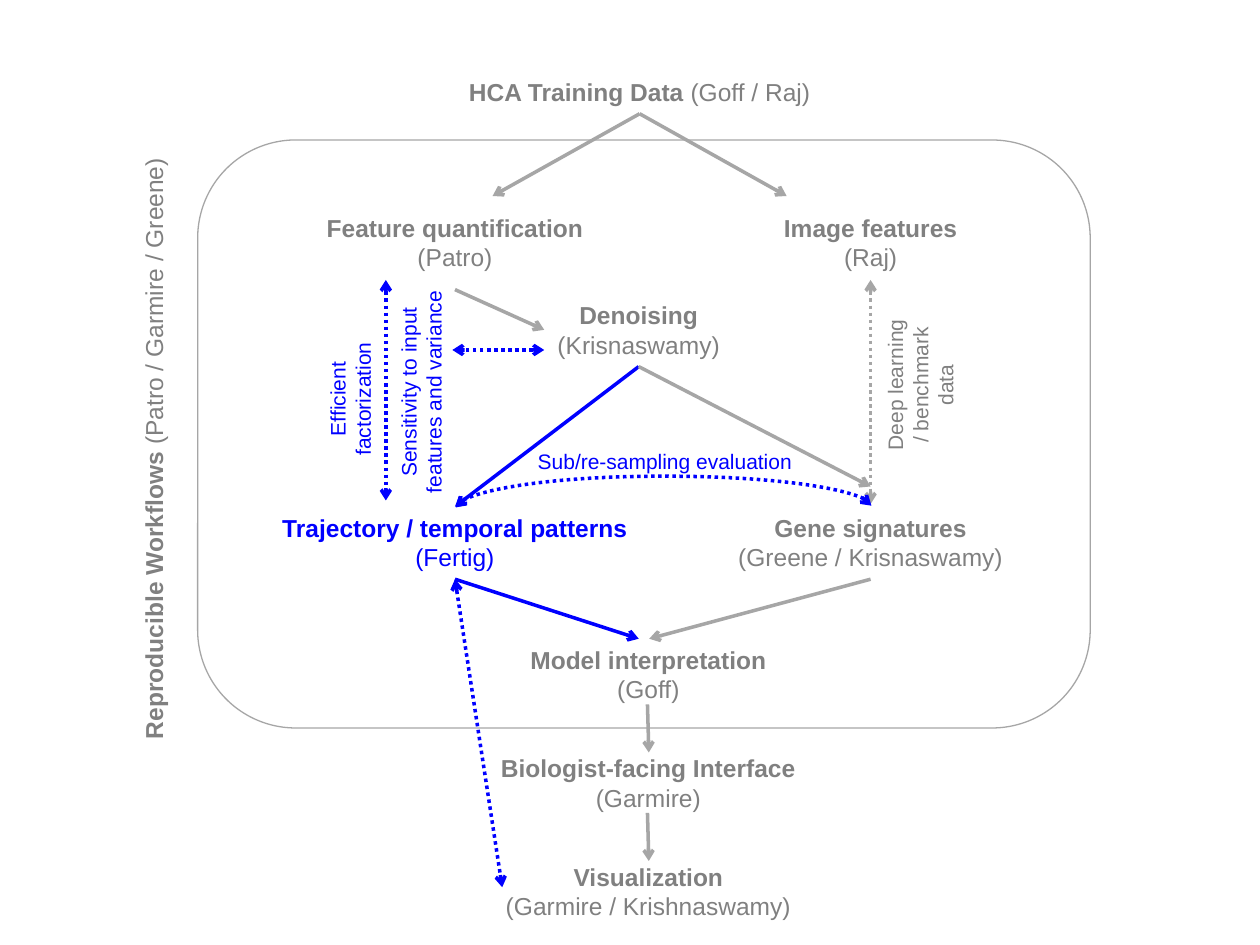
from dataclasses import dataclass

from lxml import etree
from pptx import Presentation
from pptx import util as u
from pptx.dml.color import RGBColor
from pptx.enum import dml, shapes, text
from pptx.oxml import ns

GREY_TEXT = RGBColor(0x80, 0x80, 0x80)
GREY_LINE = RGBColor(0xA6, 0xA6, 0xA6)
BLUE = RGBColor(0x00, 0x00, 0xFF)
FONT = "Arial"
NODE_HEIGHT = 41
NODE_SIZE, LABEL_SIZE = 14, 12


@dataclass
class Box:
    left: float
    top: float
    width: float
    height: float


def add_text(slide, box, center, size, paragraphs, color=GREY_TEXT,
             font_size=NODE_SIZE, rotation=0, align=text.PP_ALIGN.CENTER):
    """Place text around a center; paragraphs hold (wording, bold) runs."""
    width, height = size
    shape = slide.shapes.add_textbox(
        u.Pt(box.left + center[0] - width / 2),
        u.Pt(box.top + center[1] - height / 2), u.Pt(width), u.Pt(height))
    shape.rotation = rotation
    frame = shape.text_frame
    frame.word_wrap = False
    frame.auto_size = text.MSO_AUTO_SIZE.SHAPE_TO_FIT_TEXT
    for index, runs in enumerate(paragraphs):
        paragraph = frame.add_paragraph() if index else frame.paragraphs[0]
        paragraph.alignment = align
        for wording, bold in runs:
            run = paragraph.add_run()
            run.text = wording
            run.font.name = FONT
            run.font.size = u.Pt(font_size)
            run.font.bold = bold
            run.font.color.rgb = color


def add_node(slide, box, center_x, top, width, name, people, color=GREY_TEXT):
    add_text(slide, box, (center_x, top + NODE_HEIGHT / 2), (width, NODE_HEIGHT),
             [[(name, True)], [(people, False)]], color)


def add_label(slide, box, center, size, lines, color=BLUE, rotation=270):
    add_text(slide, box, center, size, [[(line, False)] for line in lines],
             color, LABEL_SIZE, rotation)


def add_arrow(slide, box, start, end, color=GREY_LINE, dotted=False,
              kind=shapes.MSO_CONNECTOR.STRAIGHT):
    """Solid arrows point one way, dotted arrows point both ways."""
    connector = slide.shapes.add_connector(
        kind, u.Pt(box.left + start[0]), u.Pt(box.top + start[1]),
        u.Pt(box.left + end[0]), u.Pt(box.top + end[1]))
    connector.line.color.rgb = color
    connector.line.width = u.Pt(2)
    if dotted:
        connector.line.dash_style = dml.MSO_LINE.ROUND_DOT
    properties = connector.line._get_or_add_ln()
    for tag in (["a:headEnd"] if dotted else []) + ["a:tailEnd"]:
        etree.SubElement(properties, ns.qn(tag), type="arrow")
    etree.SubElement(connector._element.spPr, ns.qn("a:effectLst"))
    return connector


def add_arc(slide, box, start, span, rise, color):
    """Curve upwards between two points of about the same height."""
    center_x, thickness = start[0] + span / 2, 1
    top = start[1] - span / 2
    connector = add_arrow(
        slide, box, (center_x + thickness / 2, top + span),
        (center_x - thickness / 2, top), color, True, shapes.MSO_CONNECTOR.CURVE)
    connector._element.spPr.find(ns.qn("a:xfrm")).set("rot", "5400000")
    geometry = connector._element.spPr.find(ns.qn("a:prstGeom"))
    adjustments = geometry.find(ns.qn("a:avLst"))
    etree.SubElement(adjustments, ns.qn("a:gd"), name="adj1",
                     fmla=f"val {round(rise / thickness * 100000)}")


def draw_frame(slide, box):
    frame = slide.shapes.add_shape(
        shapes.MSO_SHAPE.ROUNDED_RECTANGLE, u.Pt(box.left), u.Pt(box.top),
        u.Pt(box.width), u.Pt(box.height))
    frame.shadow.inherit = False
    frame.fill.background()
    frame.line.color.rgb = GREY_LINE
    frame.line.width = u.Pt(0.75)
    add_text(slide, box, (-25, 175), (349, 24.5),
             [[("Reproducible Workflows ", True),
               ("(Patro / Garmire / Greene)", False)]],
             rotation=270, align=text.PP_ALIGN.LEFT)


def draw_training_data(slide, box):
    middle = box.width / 2
    add_text(slide, box, (middle, 12.25), (box.width, 24.5),
             [[("HCA Training Data ", True), ("(Goff / Raj)", False)]])
    for side in (-1, 1):
        add_arrow(slide, box, (middle, 24.5), (middle + side * 84, 71.5))


def draw_methods(slide, box):
    left, middle, right = 147, 252, 384.5
    # Steps
    add_node(slide, box, left, 38, 162, "Feature quantification", "(Patro)")
    add_node(slide, box, right, 38, 114.5, "Image features", "(Raj)")
    add_node(slide, box, middle, 88, 108, "Denoising", "(Krisnaswamy)")
    add_node(slide, box, left, 209.5, 213, "Trajectory / temporal patterns",
             "(Fertig)", BLUE)
    add_node(slide, box, right, 209.5, 168, "Gene signatures",
             "(Greene / Krisnaswamy)")
    # Flow between steps
    add_arrow(slide, box, (left, 85.5), (198, 108.5))
    add_arrow(slide, box, (middle, 129.5), (left, 209.5), BLUE)
    add_arrow(slide, box, (middle, 129.5), (right, 198))
    add_arrow(slide, box, (left, 251), (middle, 285), BLUE)
    add_arrow(slide, box, (right, 251), (258, 285))
    # Feedback between steps
    add_arrow(slide, box, (right, 80), (right, 208), dotted=True)
    add_arrow(slide, box, (107.5, 80), (107.5, 206), BLUE, True)
    add_arrow(slide, box, (198, 120), (145.5, 120), BLUE, True)
    add_arrow(slide, box, (left, 251), (174, 427), BLUE, True)
    add_arc(slide, box, (left + 0.5, 209.5), 237.5, 18, BLUE)
    # Feedback labels
    add_label(slide, box, (87, 148), (80, 36), ["Efficient", "factorization"])
    add_label(slide, box, (127.5, 144), (131, 36),
              ["Sensitivity to input", "features and variance"])
    add_label(slide, box, (413, 140), (90, 51),
              ["Deep learning", "/ benchmark", "data"], GREY_TEXT)
    add_label(slide, box, (267, 183.5), (161, 22),
              ["Sub/re-sampling evaluation"], rotation=0)


def draw_results(slide, box):
    results = [("Model interpretation", "(Goff)", 150.5),
               ("Biologist-facing Interface", "(Garmire)", 184),
               ("Visualization", "(Garmire / Krishnaswamy)", 178.5)]
    middle, step = box.width / 2, 62
    for index, (name, people, width) in enumerate(results):
        top = index * step
        add_node(slide, box, middle, top, width, name, people)
        if index:
            add_arrow(slide, box, (middle - 0.5, top - 24.5), (middle + 0.25, top + 3))


presentation = Presentation()
presentation.slide_width, presentation.slide_height = u.Pt(720), u.Pt(540)
slide = presentation.slides.add_slide(presentation.slide_layouts[6])
workflow = Box(113, 80, 510, 336)
draw_frame(slide, workflow)
draw_training_data(slide, Box(260, 40.5, 211, 96))
draw_methods(slide, workflow)
draw_results(slide, Box(278.5, 365, 184, 165))
presentation.save("out.pptx")
